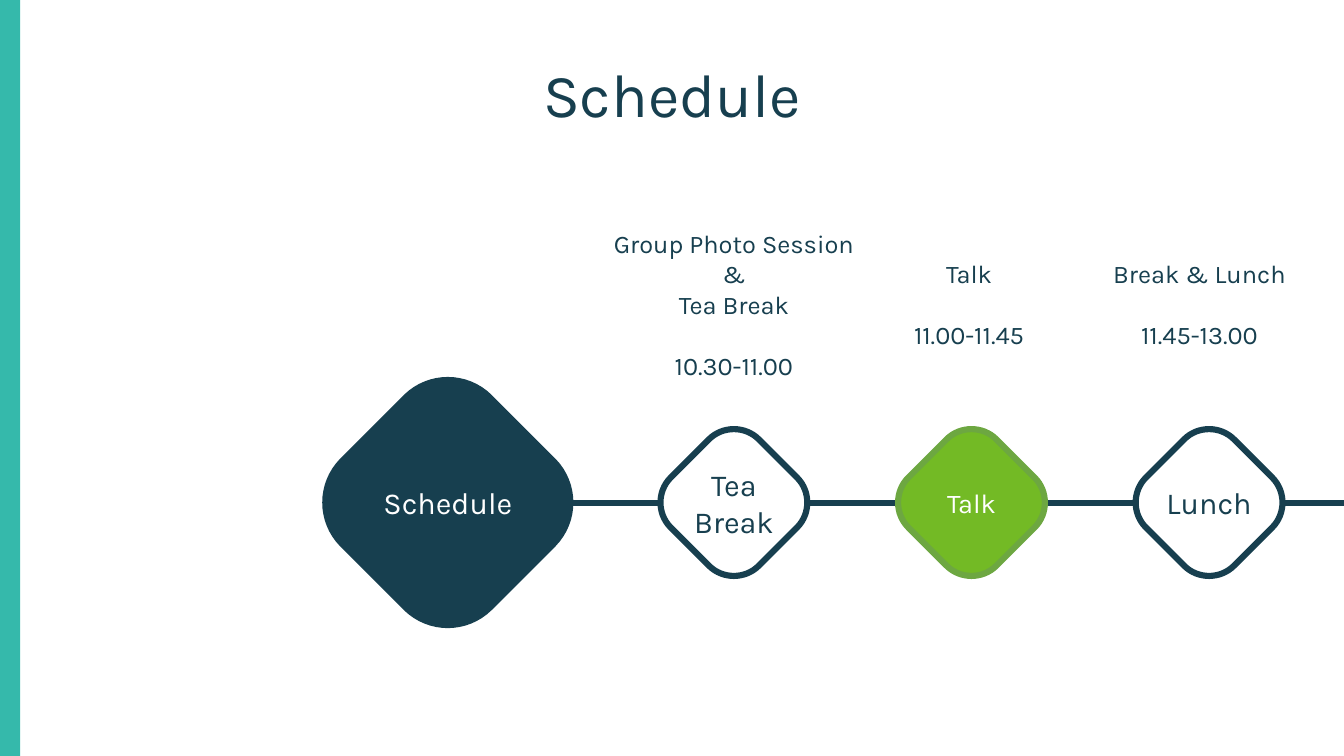
from pptx import Presentation
from pptx.util import Cm, Pt
from pptx.dml.color import RGBColor
from pptx.enum.shapes import MSO_SHAPE as Kind, MSO_CONNECTOR as Link
from pptx.enum.text import PP_ALIGN as Align, MSO_ANCHOR as Anchor
from pptx.oxml.ns import qn
from lxml import etree

hues = {"teal": "35B9AB", "navy": "173F4F", "white": "FFFFFF",
        "green": "73BA25", "moss": "6DA741"}
hues = {name: RGBColor.from_string(code) for name, code in hues.items()}


def write(shape, lines, size, hue, inset=(0, 0)):
    frame = shape.text_frame
    frame.word_wrap = True
    frame.vertical_anchor = Anchor.MIDDLE
    frame.margin_left = frame.margin_right = Cm(inset[0])
    frame.margin_top = frame.margin_bottom = Cm(inset[1])
    frame.text = "\n".join(lines)
    for para in frame.paragraphs:
        para.alignment = Align.CENTER
        for run in para.runs:
            run.font.name = "Karla"
            run.font.size = Pt(size)
            run.font.color.rgb = hues[hue]
    return frame


def gem(x, y, half, fill, edge):
    points = []
    for turn in range(4):
        for step in range(17):
            t = step / 16
            u = 1 - t
            a = 0.324 * (t**3 - u**3) + 0.143 * 3 * t * u * (t - u)
            b = 0.824 * (t**3 + u**3) + 3 * t * u
            for _ in range(turn):
                a, b = b, -a
            points.append((Cm(x + half * a), Cm(y + half * b)))
    path = slide.shapes.build_freeform(*points[0])
    path.add_line_segments(points[1:])
    shape = path.convert_to_shape()
    shape.shadow.inherit = False
    shape.fill.solid()
    shape.fill.fore_color.rgb = hues[fill]
    shape.line.color.rgb = hues[edge]
    shape.line.width = Pt(3.63)
    return shape


deck = Presentation()
wide, high = 28, 15.75
deck.slide_width, deck.slide_height = Cm(wide), Cm(high)
slide = deck.slides.add_slide(deck.slide_layouts[6])

bar = slide.shapes.add_shape(Kind.RECTANGLE, 0, 0, Cm(0.42), Cm(high))
bar.shadow.inherit = False
bar.fill.solid()
bar.fill.fore_color.rgb = hues["teal"]
bar.line.fill.background()

mid = 10.47
start = 9.33
track = slide.shapes.add_connector(Link.STRAIGHT, Cm(start), Cm(mid), Cm(wide), Cm(mid))
track.line.color.rgb = hues["navy"]
track.line.width = Pt(3.6)
etree.SubElement(track._element.spPr, qn("a:effectLst"))

pad = (0.25, 0.13)
write(gem(start, mid, 2.67, "navy", "navy"), ["Schedule"], 18, "white", pad)

title = slide.shapes.add_textbox(Cm(1.4), Cm(0.64), Cm(25.2), Cm(2.62))
write(title, ["Schedule"], 36, "navy")

stops = [
    (["Tea", "Break"], 18, "navy", "white", "navy", 12.75,
     ["Group Photo Session &", "Tea Break", "10.30-11.00"]),
    (["Talk"], 16, "white", "green", "moss", 17.65, ["Talk", "11.00-11.45"]),
    (["Lunch"], 18, "navy", "white", "navy", 22.45, ["Break & Lunch", "11.45-13.00"]),
]
for i, (label, size, ink, fill, edge, left, note) in enumerate(stops):
    write(gem(15.29 + 4.95 * i, mid, 1.6, fill, edge), label, size, ink, pad)
    box = slide.shapes.add_textbox(Cm(left), Cm(4.29), Cm(5.08), Cm(4.09))
    frame = write(box, note, 15, "navy")
    frame.paragraphs[-1].space_before = Pt(18)

deck.save("out.pptx")
